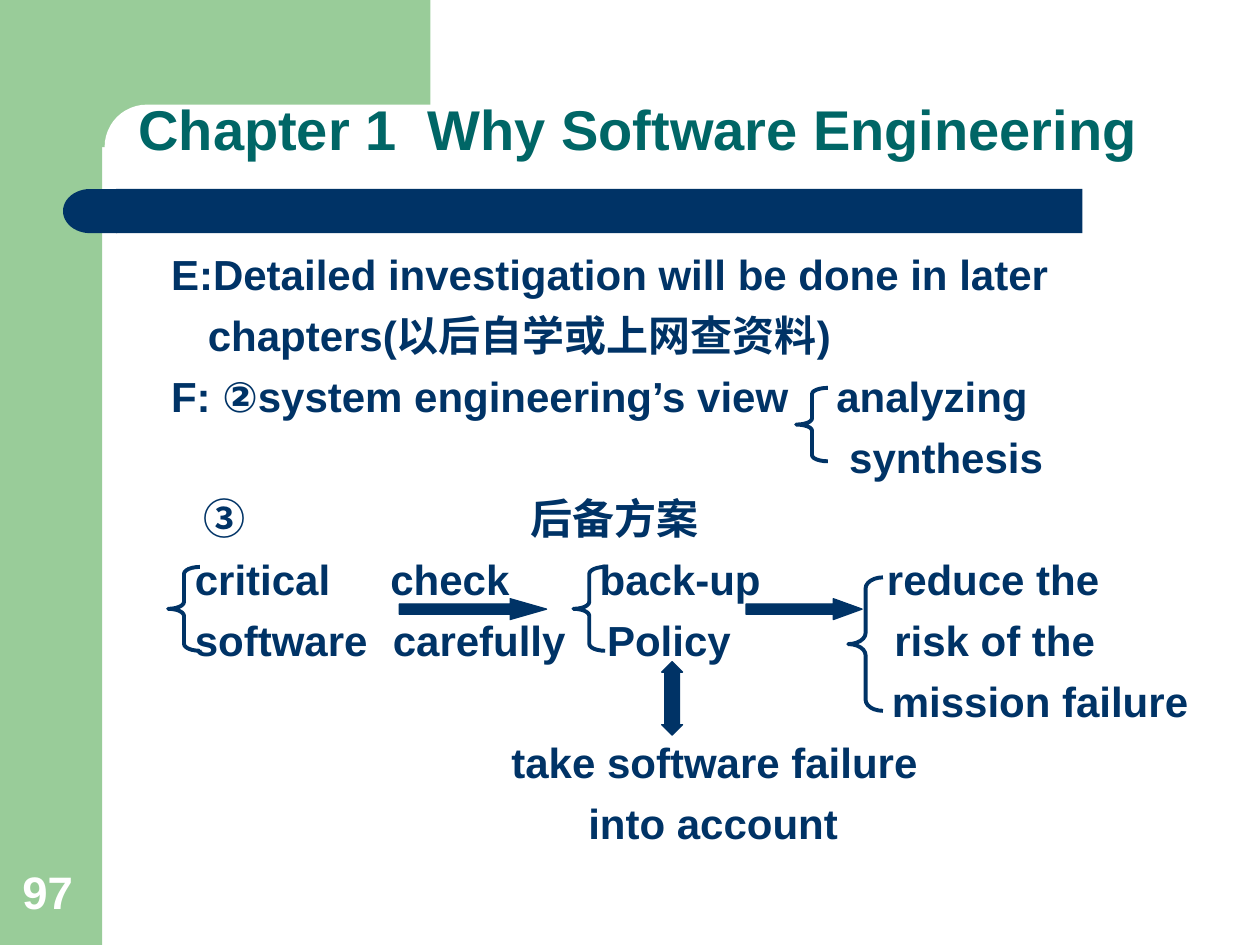
from lxml import etree
from pptx import Presentation
from pptx.dml.color import RGBColor
from pptx.enum.shapes import MSO_SHAPE
from pptx.enum.text import MSO_ANCHOR, MSO_AUTO_SIZE, PP_ALIGN
from pptx.oxml.ns import qn
from pptx.util import Cm, Pt

RECT = MSO_SHAPE.RECTANGLE
ROUND = MSO_SHAPE.ROUNDED_RECTANGLE
DELAY = MSO_SHAPE.FLOWCHART_DELAY
BRACE = MSO_SHAPE.LEFT_BRACE
RIGHT = MSO_SHAPE.RIGHT_ARROW
UPDOWN = MSO_SHAPE.UP_DOWN_ARROW
BOTTOM = MSO_ANCHOR.BOTTOM
TOP = MSO_ANCHOR.TOP
LEFT = PP_ALIGN.LEFT
FIXED = MSO_AUTO_SIZE.NONE

NAVY = "003366"
GREEN = "99CC99"
TEAL = "006666"
WHITE = "FFFFFF"

LINES = [
    [(0.66, "E:Detailed investigation will be done in later")],
    [(1.4, "chapters(以后自学或上网查资料)")],
    [(0.66, "F: ②system engineering’s view"), (14.07, "analyzing")],
    [(14.33, "synthesis")],
    [(1.32, "③"), (7.9, "后备方案")],
    [(1.14, "critical"), (5.08, "check"), (9.3, "back-up"), (15.09, "reduce the")],
    [(1.14, "software"), (5.13, "carefully"), (9.45, "Policy"), (15.24, "risk of the")],
    [(15.19, "mission failure")],
    [(7.52, "take software failure")],
    [(9.07, "into account")],
]

BRACES = [
    (16.05, 7.82, 0.64, 1.48),
    (3.39, 11.43, 0.64, 1.69),
    (17.1, 11.64, 0.7, 2.69),
    (11.56, 11.43, 0.64, 1.69),
]

ARROWS = [
    (RIGHT, (8.05, 12.07, 2.97, 0.42), 1.75),
    (RIGHT, (15.04, 12.07, 2.34, 0.42), 1.38),
    (UPDOWN, (13.34, 13.34, 0.42, 1.48), 0.7),
]


def tint(code):
    return RGBColor.from_string(code)


def apply(item, values):
    for key, value in values.items():
        setattr(item, key, value)


def add_block(slide, kind, box, fill, adjust=()):
    block = slide.shapes.add_shape(kind, *map(Cm, box))
    block.shadow.inherit = False
    block.fill.solid()
    block.fill.fore_color.rgb = tint(fill)
    block.line.fill.background()
    for index, value in enumerate(adjust):
        block.adjustments[index] = value
    return block


def add_brace(slide, box):
    width, height = box[2:]
    brace = slide.shapes.add_shape(BRACE, *map(Cm, box))
    brace.shadow.inherit = False
    brace.fill.background()
    brace.line.color.rgb = tint(NAVY)
    brace.line.width = Pt(2.25)
    brace.adjustments[0] = height / 12 / width


def add_arrow(slide, kind, box, head):
    arrow = add_block(slide, kind, box, NAVY, (0.5, head))
    arrow.line.color.rgb = tint(NAVY)
    arrow.line.width = Pt(0.75)


def set_frame(frame, anchor, wrap=True):
    apply(frame, {
        "word_wrap": wrap,
        "auto_size": FIXED,
        "vertical_anchor": anchor,
        "margin_left": Cm(0.25),
        "margin_right": Cm(0.25),
        "margin_top": Cm(0.13),
        "margin_bottom": Cm(0.13),
    })


def write(para, text, size, code):
    run = para.add_run()
    run.text = text
    apply(run.font, {"name": "Arial", "size": Pt(size), "bold": True})
    run.font.color.rgb = tint(code)


def add_tabs(para, stops):
    props = para._p.get_or_add_pPr()
    tabs = etree.SubElement(props, qn("a:tabLst"))
    for stop in stops:
        etree.SubElement(tabs, qn("a:tab"), pos=str(int(Cm(stop))), algn="l")


def add_decor(slide):
    add_block(slide, RECT, (0, 0, 2.06, 19.05), GREEN)
    add_block(slide, RECT, (1.85, 0, 6.83, 2.97), GREEN)
    add_block(slide, ROUND, (2.11, 2.11, 14.17, 1.7), WHITE, (0.5,))
    add_block(slide, RECT, (2.34, 3.81, 19.48, 0.89), NAVY)
    add_block(slide, DELAY, (1.27, 3.81, 1.09, 0.89), NAVY).rotation = 180


def add_title(slide, text):
    title = slide.shapes.title
    apply(title, {"left": Cm(2.54), "top": Cm(1.07),
                  "width": Cm(22.23), "height": Cm(2.34)})
    set_frame(title.text_frame, BOTTOM)
    para = title.text_frame.paragraphs[0]
    apply(para, {"alignment": LEFT, "line_spacing": 0.9})
    write(para, text, 32, TEAL)
    title.element.getparent().append(title.element)


def add_number(slide, text):
    box = slide.shapes.add_textbox(Cm(0.2), Cm(17.27), Cm(1.63), Cm(1.37))
    set_frame(box.text_frame, BOTTOM, False)
    write(box.text_frame.paragraphs[0], text, 26, WHITE)


def add_body(slide, lines):
    box = slide.shapes.add_textbox(Cm(2.54), Cm(4.67), Cm(22.23), Cm(14.17))
    frame = box.text_frame
    set_frame(frame, TOP)
    for index, line in enumerate(lines):
        para = frame.add_paragraph() if index else frame.paragraphs[0]
        apply(para, {"alignment": LEFT, "line_spacing": Pt(34.86)})
        add_tabs(para, [stop for stop, part in line])
        write(para, "".join("\t" + part for stop, part in line), 24, NAVY)


def main():
    deck = Presentation()
    apply(deck, {"slide_width": Cm(25.4), "slide_height": Cm(19.05)})
    slide = deck.slides.add_slide(deck.slide_layouts[5])
    add_decor(slide)
    add_number(slide, "97")
    add_title(slide, "Chapter 1  Why Software Engineering")
    add_body(slide, LINES)
    for box in BRACES:
        add_brace(slide, box)
    for kind, box, head in ARROWS:
        add_arrow(slide, kind, box, head)
    deck.save("out.pptx")


if __name__ == "__main__":
    main()
